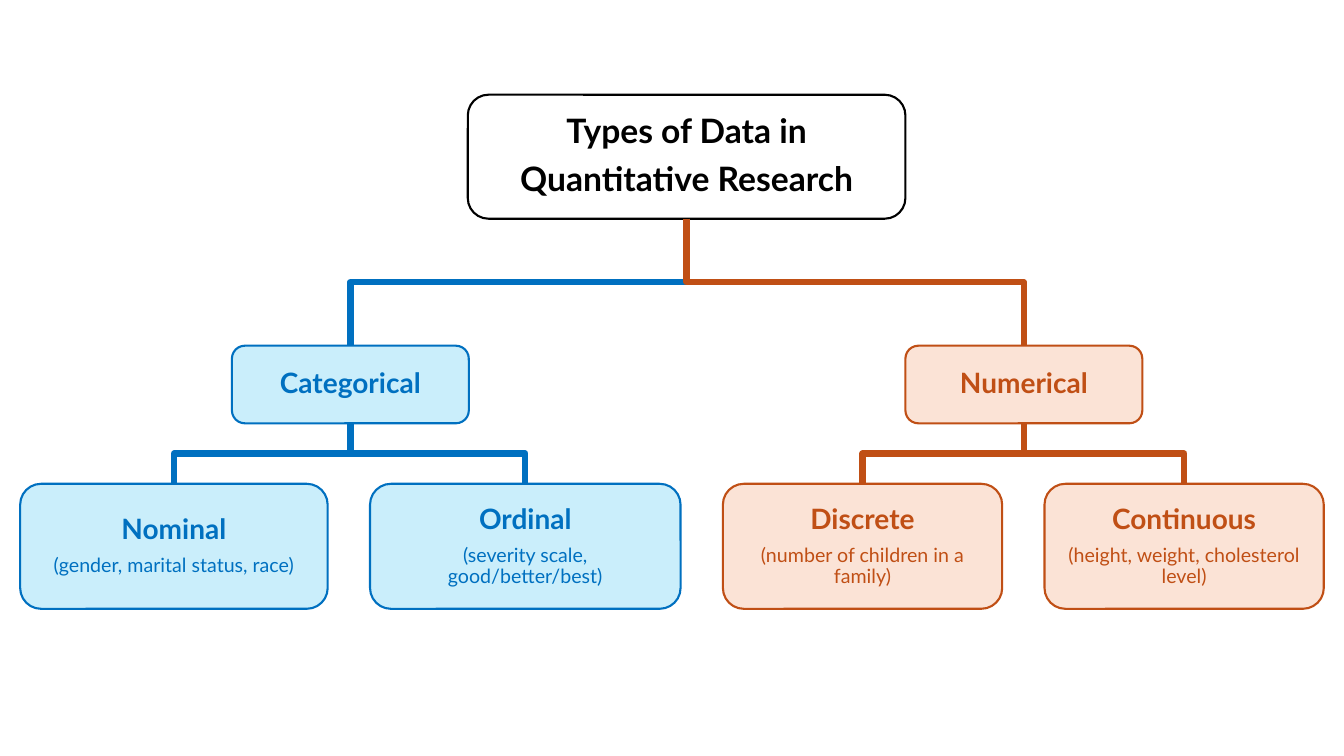
from dataclasses import dataclass
from typing import Any

from pptx import Presentation
from pptx.dml.color import RGBColor
from pptx.enum.shapes import MSO_SHAPE
from pptx.enum.text import MSO_ANCHOR, MSO_AUTO_SIZE, PP_ALIGN
from pptx.util import Inches, Pt

ROUND = MSO_SHAPE.ROUNDED_RECTANGLE
MIDDLE = MSO_ANCHOR.MIDDLE
FIXED = MSO_AUTO_SIZE.NONE
CENTER = PP_ALIGN.CENTER

BLACK, BLUE, SKY, RUST, PEACH = "000000", "0070C0", "CAEEFB", "C04F15", "FBE3D6"


@dataclass(frozen=True)
class Line:
    text: str
    size: int
    bold: bool = True


@dataclass(frozen=True)
class Node:
    left: float
    top: float
    width: float
    height: float
    lines: tuple[Line, ...]
    ink: str
    tint: str = ""
    kids: tuple["Node", ...] = ()

    @property
    def center(self) -> float:
        return self.left + self.width / 2

    @property
    def bottom(self) -> float:
        return self.top + self.height


def color(code: str) -> RGBColor:
    return RGBColor.from_string(code)


def assign(target: Any, values: dict[str, Any]) -> None:
    for name, value in values.items():
        setattr(target, name, value)


def write(frame: Any, lines: tuple[Line, ...], ink: str, inset: float) -> None:
    margins = {f"margin_{side}": Inches(inset)
               for side in ("left", "top", "right", "bottom")}
    assign(frame, {"word_wrap": True, "auto_size": FIXED,
                   "vertical_anchor": MIDDLE, **margins})
    for index, line in enumerate(lines):
        para = frame.add_paragraph() if index else frame.paragraphs[0]
        assign(para, {"alignment": CENTER, "line_spacing": 0.9,
                      "space_before": Pt(0), "space_after": Pt(line.size * 0.35)})
        run = para.add_run()
        run.text = line.text
        assign(run.font, {"name": "Lato", "size": Pt(line.size), "bold": line.bold})
        run.font.color.rgb = color(ink)


def outline(shape: Any, ink: str, weight: float) -> None:
    shape.shadow.inherit = False
    shape.line.color.rgb = color(ink)
    shape.line.width = Pt(weight)


def draw_box(slide: Any, node: Node) -> Any:
    box = slide.shapes.add_shape(
        ROUND, Inches(node.left), Inches(node.top),
        Inches(node.width), Inches(node.height))
    outline(box, node.ink, 1.5)
    if node.tint:
        box.fill.solid()
        box.fill.fore_color.rgb = color(node.tint)
    else:
        box.fill.background()
    return box


def draw_link(slide: Any, parent: Node, kid: Node) -> None:
    bend = (parent.bottom + kid.top) / 2
    points = [(parent.center, parent.bottom), (parent.center, bend),
              (kid.center, bend), (kid.center, kid.top)]
    start, *rest = [(Inches(x), Inches(y)) for x, y in points]
    pen = slide.shapes.build_freeform(*start)
    pen.add_line_segments(rest, close=False)
    link = pen.convert_to_shape()
    link.fill.background()
    outline(link, kid.ink, 4.5)


def draw_kids(slide: Any, parent: Node) -> None:
    for kid in parent.kids:
        draw_link(slide, parent, kid)
        box = draw_box(slide, kid)
        write(box.text_frame, kid.lines, kid.ink, 0.08)
        draw_kids(slide, kid)


def draw_root(slide: Any, root: Node) -> None:
    draw_box(slide, root)
    pad = 0.06
    title = slide.shapes.title
    assign(title, {"left": Inches(root.left + pad), "top": Inches(root.top + pad),
                   "width": Inches(root.width - 2 * pad),
                   "height": Inches(root.height - 2 * pad)})
    write(title.text_frame, root.lines, root.ink, 0.1)


def leaf(left: float, width: float, head: str, note: str, ink: str, tint: str) -> Node:
    lines = (Line(head, 20), Line(note, 14, False))
    return Node(left, 4.8, width, 1.24, lines, ink, tint)


def branch(left: float, head: str, ink: str, tint: str, *kids: Node) -> Node:
    return Node(left, 3.43, 2.35, 0.77, (Line(head, 20),), ink, tint, kids)


TREE = Node(
    4.64, 0.94, 4.34, 1.23,
    (Line("Types of Data in", 24), Line("Quantitative Research", 24)), BLACK,
    kids=(
        branch(2.3, "Categorical", BLUE, SKY,
               leaf(0.2, 3.05, "Nominal", "(gender, marital status, race)", BLUE, SKY),
               leaf(3.67, 3.08, "Ordinal", "(severity scale, good/better/best)",
                    BLUE, SKY)),
        branch(8.98, "Numerical", RUST, PEACH,
               leaf(7.17, 2.77, "Discrete", "(number of children in a family)",
                    RUST, PEACH),
               leaf(10.36, 2.77, "Continuous", "(height, weight, cholesterol level)",
                    RUST, PEACH)),
    ),
)


def main() -> None:
    deck = Presentation()
    assign(deck, {"slide_width": Inches(13.33), "slide_height": Inches(7.5)})
    slide = deck.slides.add_slide(deck.slide_layouts[5])
    draw_root(slide, TREE)
    draw_kids(slide, TREE)
    deck.save("out.pptx")


if __name__ == "__main__":
    main()
